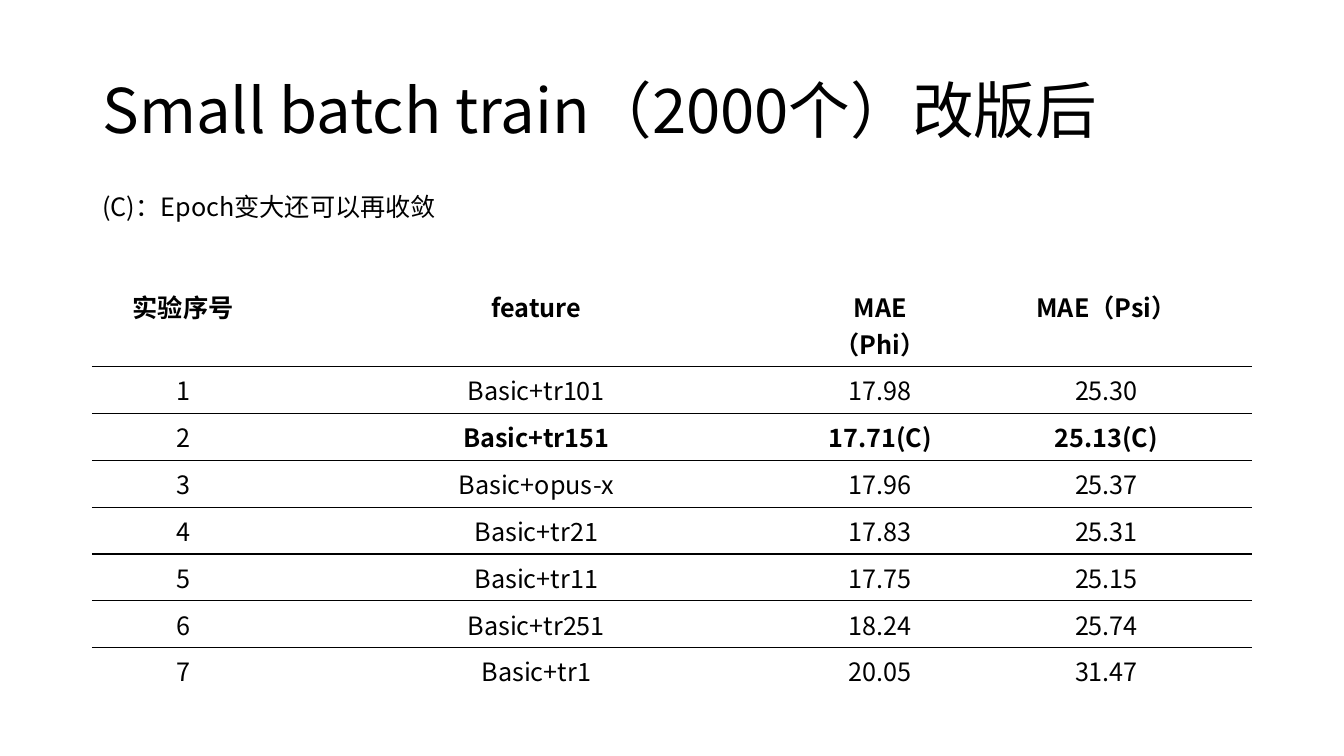
import pptx
import pptx.dml.color
import pptx.enum.text
import pptx.oxml
import pptx.oxml.ns
import pptx.util
from pptx.util import Cm

# Content
TITLE = "Small batch train（2000个）改版后"
NOTE = "(C)：Epoch变大还可以再收敛"
HEADER = ("实验序号", "feature", "MAE（Phi）", "MAE（Psi）")
RESULTS = [
    ("1", "Basic+tr101", "17.98", "25.30"),
    ("2", "Basic+tr151", "17.71(C)", "25.13(C)"),
    ("3", "Basic+opus-x", "17.96", "25.37"),
    ("4", "Basic+tr21", "17.83", "25.31"),
    ("5", "Basic+tr11", "17.75", "25.15"),
    ("6", "Basic+tr251", "18.24", "25.74"),
    ("7", "Basic+tr1", "20.05", "31.47"),
]
BEST_ROW = 2

# Style and layout
FONT = "Noto Sans CJK SC"
BLACK, WHITE = "000000", "FFFFFF"
LEFT, WIDTH = 2.33, 29.21
COLUMN_WIDTHS = (4.57, 13.23, 4.1, 7.31)
# The header holds two lines of text
HEADER_HEIGHT, ROW_HEIGHT = 2.1, 1.18


def color(value):
    return pptx.dml.color.RGBColor.from_string(value)


def write(frame, text, size, bold=False):
    para = frame.paragraphs[0]
    para.text = text
    para.font.size = pptx.util.Pt(size)
    para.font.bold = bold
    para.font.name = FONT
    para.font.color.rgb = color(BLACK)
    # East Asian characters need their own font entry
    properties = para._p.pPr.find(pptx.oxml.ns.qn("a:defRPr"))
    east_asian = pptx.oxml.parse_xml(
        f'<a:ea {pptx.oxml.ns.nsdecls("a")} typeface="{FONT}"/>')
    properties.find(pptx.oxml.ns.qn("a:latin")).addnext(east_asian)
    return para


def add_text(page, text, top, width, height, size):
    box = page.shapes.add_textbox(Cm(LEFT), Cm(top), Cm(width), Cm(height))
    box.text_frame.word_wrap = True
    return box.text_frame, write(box.text_frame, text, size)


def set_borders(cell, top, bottom):
    sides = {"L": WHITE, "R": WHITE, "T": top, "B": bottom}
    for side, value in sides.items():
        cell._tc.get_or_add_tcPr().append(pptx.oxml.parse_xml(
            f'<a:ln{side} {pptx.oxml.ns.nsdecls("a")} w="12700">'
            f'<a:solidFill><a:srgbClr val="{value}"/></a:solidFill></a:ln{side}>'))


def add_results(page):
    rows = [HEADER] + RESULTS
    heights = [HEADER_HEIGHT] + [ROW_HEIGHT] * len(RESULTS)
    frame = page.shapes.add_table(len(rows), len(HEADER), Cm(LEFT), Cm(7.14),
                                  Cm(WIDTH), Cm(sum(heights)))
    table = frame.table
    for column, width in zip(table.columns, COLUMN_WIDTHS):
        column.width = Cm(width)
    for r, values in enumerate(rows):
        table.rows[r].height = Cm(heights[r])
        for c, value in enumerate(values):
            cell = table.cell(r, c)
            bold = r == 0 or (r == BEST_ROW and c > 0)
            para = write(cell.text_frame, value, 18, bold)
            para.alignment = pptx.enum.text.PP_ALIGN.CENTER
            # Only the rules between rows are black
            set_borders(cell, WHITE if r == 0 else BLACK,
                        WHITE if r == len(rows) - 1 else BLACK)
            cell.fill.solid()
            cell.fill.fore_color.rgb = color(WHITE)


def main():
    deck = pptx.Presentation()
    deck.slide_width, deck.slide_height = Cm(33.87), Cm(19.05)
    page = deck.slides.add_slide(deck.slide_layouts[6])

    # Title and note
    title, title_para = add_text(page, TITLE, 1.01, WIDTH, 3.68, 44)
    title.vertical_anchor = pptx.enum.text.MSO_ANCHOR.MIDDLE
    title_para.line_spacing = 0.9
    add_text(page, NOTE, 4.7, 16.94, 1.03, 18)

    # Results table
    add_results(page)
    deck.save("out.pptx")


if __name__ == "__main__":
    main()
